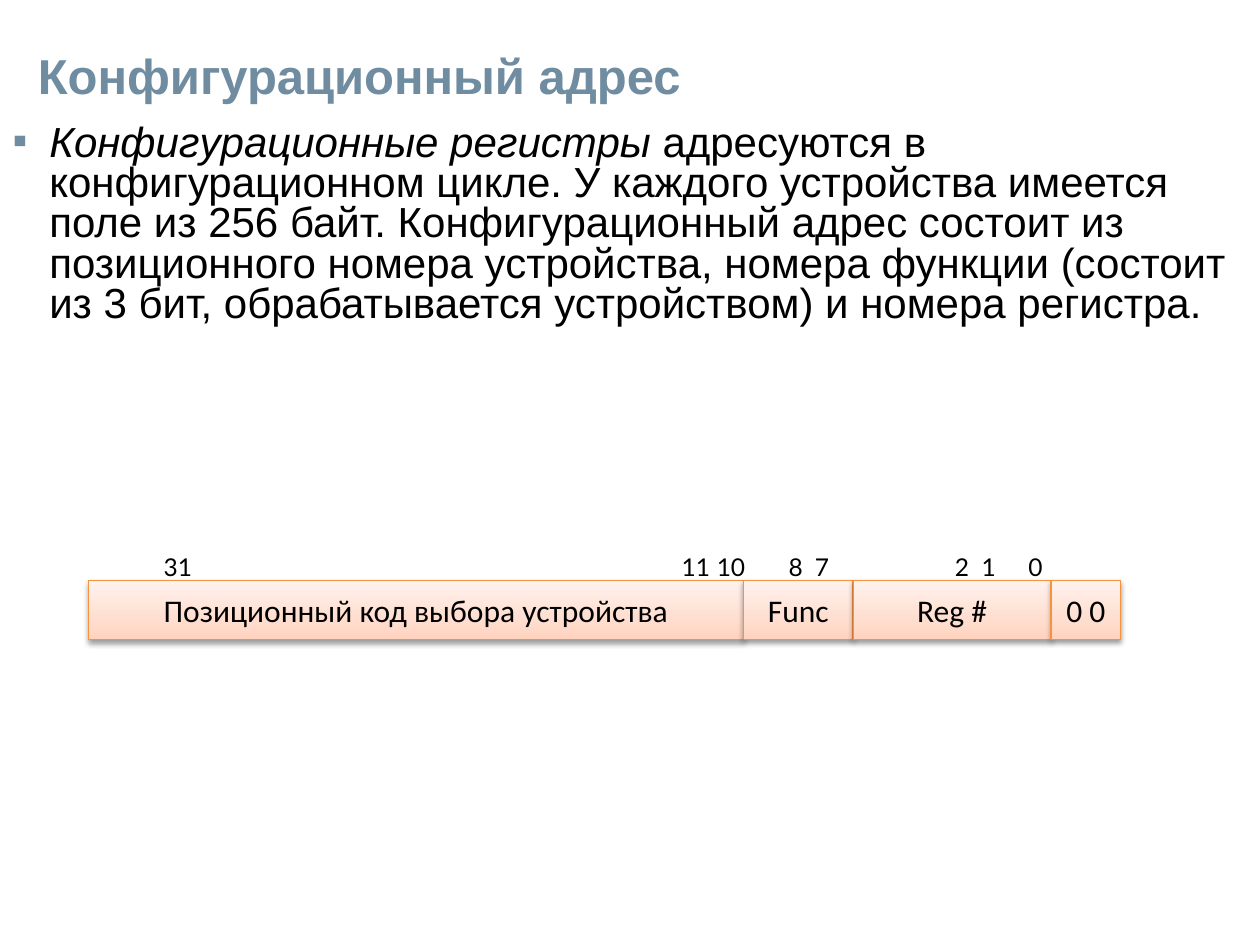
import copy

import pptx
import pptx.dml.color
import pptx.enum.shapes
import pptx.enum.text
import pptx.oxml
import pptx.oxml.ns
import pptx.util

Cm = pptx.util.Cm
Pt = pptx.util.Pt
qn = pptx.oxml.ns.qn
DRAWING = 'xmlns:a="http://schemas.openxmlformats.org/drawingml/2006/main"'

ACCENT = "708CA1"
BLACK = "000000"
CELL_LINE = "F69240"
CELL_GRADIENT = [(0, "FFD2BD"), (0.35, "FFDED0"), (1, "FFF2ED")]

ROW_LEFT, ROW_TOP, ROW_HEIGHT = 1.78, 11.71, 1.19
FIELDS = [("Позиционный код выбора устройства", 13.21), ("Func", 2.21),
          ("Reg #", 3.99), ("0 0", 1.4)]
BITS = [("31", 1.52), ("11", 11.96), ("10", 12.67), ("8", 14.12),
        ("7", 14.65), ("2", 17.47), ("1", 18.01), ("0", 18.95)]
BODY_SPANS = [
    ("Конфигурационные регистры ", True),
    ("адресуются в конфигурационном цикле. У каждого устройства имеется "
     "поле из 256 байт. Конфигурационный адрес состоит из позиционного "
     "номера устройства, номера функции (состоит из 3 бит, обрабатывается "
     "устройством) и номера регистра.", False),
]


def color(value):
    return pptx.dml.color.RGBColor.from_string(value)


def append_xml(parent, markup):
    tag, rest = markup[1:].split(" ", 1)
    parent.append(pptx.oxml.parse_xml(f"<{tag} {DRAWING} {rest}"))


def place(shape, left, top, width, height):
    shape.left, shape.top = Cm(left), Cm(top)
    shape.width, shape.height = Cm(width), Cm(height)


def format_span(span, size, font, value, bold=False, italic=False):
    span.font.size = Pt(size)
    span.font.name = font
    span.font.color.rgb = color(value)
    span.font.bold = bold
    span.font.italic = italic


def set_title(page):
    title = page.shapes.title
    place(title, 0, 0.79, 22.86, 1.42)
    frame = title.text_frame
    frame.text = "Конфигурационный адрес"
    frame.vertical_anchor = pptx.enum.text.MSO_ANCHOR.MIDDLE
    para = frame.paragraphs[0]
    para.alignment = pptx.enum.text.PP_ALIGN.LEFT
    para._p.get_or_add_pPr().set("marL", str(Cm(0.51)))
    format_span(para.runs[0], 28, "Arial", ACCENT, bold=True)


def set_body(page):
    body = page.placeholders[1]
    place(body, 0, 2.39, 25.4, 16.66)
    para = body.text_frame.paragraphs[0]
    para.line_spacing = 0.8
    para.space_before = Pt(0)
    para.space_after = Pt(9)
    properties = para._p.get_or_add_pPr()
    properties.set("marL", str(Cm(0.74)))
    properties.set("indent", str(-Cm(0.74)))
    append_xml(properties, f'<a:buClr ><a:srgbClr val="{ACCENT}"/></a:buClr>')
    append_xml(properties, '<a:buFont typeface="Arial"/>')
    append_xml(properties, '<a:buChar char="▪"/>')
    for text, italic in BODY_SPANS:
        span = para.add_run()
        span.text = text
        format_span(span, 24, "Arial", BLACK, italic=italic)


def fill_gradient(shape):
    shape.fill.gradient()
    shape.fill.gradient_angle = 90
    stop_list = shape._element.spPr.find(".//" + qn("a:gsLst"))
    stop_list.append(copy.deepcopy(stop_list[-1]))
    for stop, (position, value) in zip(shape.fill.gradient_stops, CELL_GRADIENT):
        stop.position = position
        stop.color.rgb = color(value)


def add_shadow(shape):
    shape.shadow.inherit = False
    append_xml(shape._element.spPr.find(qn("a:effectLst")),
               f'<a:outerShdw blurRad="{Pt(3.1)}" dist="{Pt(1.6)}" dir="5400000" '
               f'rotWithShape="0"><a:srgbClr val="{BLACK}"><a:alpha val="38000"/>'
               '</a:srgbClr></a:outerShdw>')


def add_field(page, text, left, width):
    field = page.shapes.add_shape(pptx.enum.shapes.MSO_SHAPE.RECTANGLE, Cm(left),
                                  Cm(ROW_TOP), Cm(width), Cm(ROW_HEIGHT))
    fill_gradient(field)
    field.line.color.rgb = color(CELL_LINE)
    field.line.width = Pt(0.75)
    add_shadow(field)
    frame = field.text_frame
    frame.text = text
    frame.word_wrap = False
    frame.vertical_anchor = pptx.enum.text.MSO_ANCHOR.MIDDLE
    para = frame.paragraphs[0]
    para.alignment = pptx.enum.text.PP_ALIGN.CENTER
    format_span(para.runs[0], 18, "Calibri", BLACK)


def add_bit_numbers(page, width):
    box = page.shapes.add_textbox(Cm(ROW_LEFT), Cm(11.13), Cm(width), Cm(0.6))
    frame = box.text_frame
    frame.word_wrap = True
    frame.margin_left = frame.margin_right = 0
    frame.margin_top = frame.margin_bottom = 0
    frame.vertical_anchor = pptx.enum.text.MSO_ANCHOR.MIDDLE
    frame.text = "".join("\t" + bit for bit, _ in BITS)
    para = frame.paragraphs[0]
    tabs = "".join(f'<a:tab pos="{Cm(offset)}" algn="l"/>' for _, offset in BITS)
    append_xml(para._p.get_or_add_pPr(), f"<a:tabLst >{tabs}</a:tabLst>")
    format_span(para.runs[0], 14, "Lato", BLACK)


def add_divider(page, left):
    divider = page.shapes.add_connector(
        pptx.enum.shapes.MSO_CONNECTOR.STRAIGHT, Cm(left), Cm(ROW_TOP),
        Cm(left), Cm(ROW_TOP + ROW_HEIGHT))
    divider.line.color.rgb = color(BLACK)
    divider.line.width = Pt(0.75)
    append_xml(divider._element.spPr, "<a:effectLst />")


def add_address_row(page):
    left = ROW_LEFT
    for index, (text, width) in enumerate(FIELDS):
        add_field(page, text, left, width)
        left += width
        if index == 0:
            add_bit_numbers(page, sum(width for _, width in FIELDS))
            add_divider(page, left)


def main():
    deck = pptx.Presentation()
    deck.slide_width, deck.slide_height = Cm(25.4), Cm(19.05)
    page = deck.slides.add_slide(deck.slide_layouts[1])
    set_title(page)
    set_body(page)
    add_address_row(page)
    deck.save("out.pptx")


if __name__ == "__main__":
    main()
